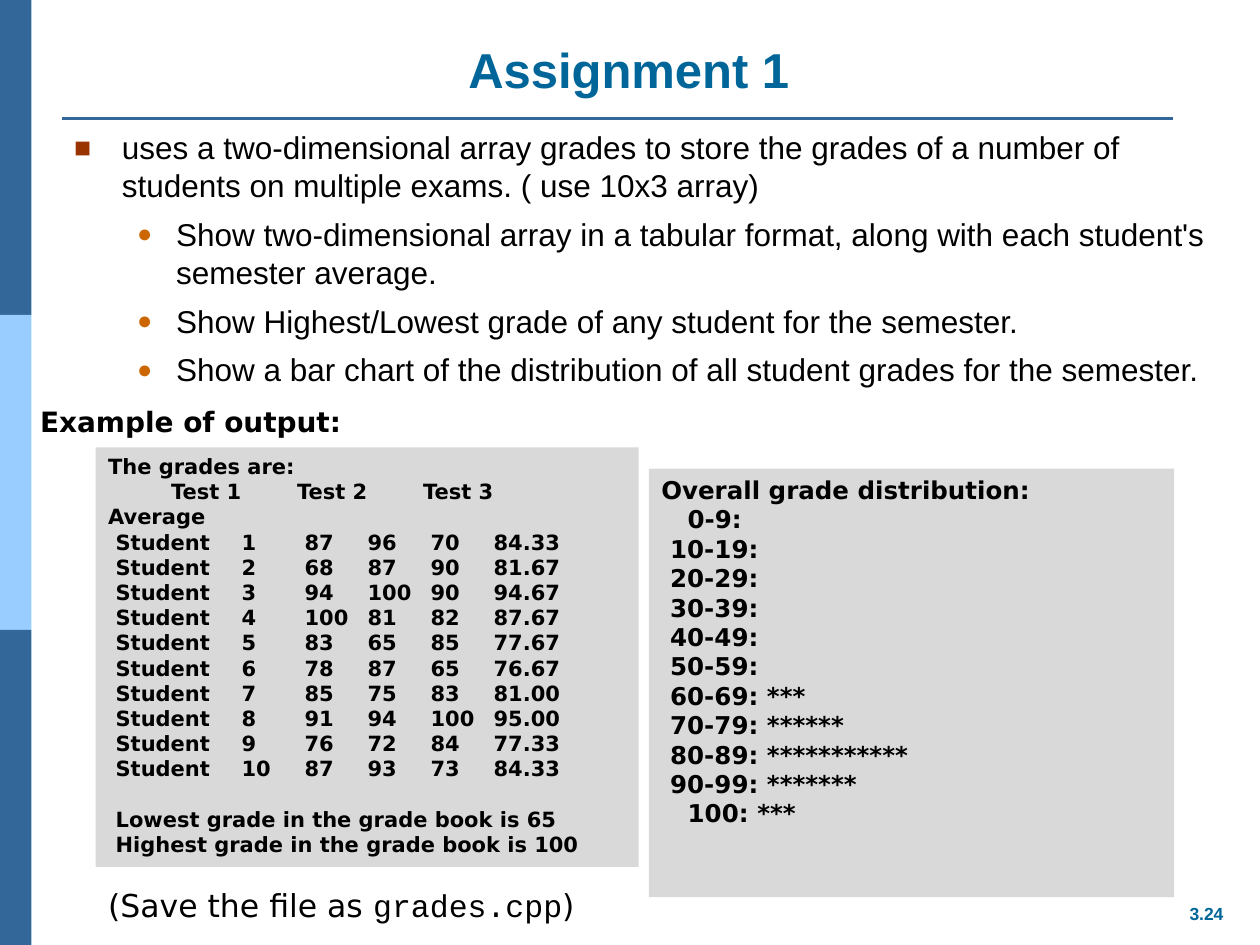
from collections import namedtuple

from lxml.etree import SubElement
from pptx import Presentation
from pptx.dml.color import RGBColor
from pptx.enum.shapes import MSO_CONNECTOR as CONNECTOR, MSO_SHAPE as SHAPE
from pptx.enum.text import MSO_ANCHOR as ANCHOR, MSO_AUTO_SIZE as AUTO, PP_ALIGN as ALIGN
from pptx.oxml.ns import qn
from pptx.util import Inches, Pt

COLUMNS, ROWS = 40, 30
CELL = Inches(0.25)
Box = namedtuple("Box", "left top width height")

NAVY, SKY, TEAL = "336699", "99CCFF", "006699"
BLACK, WHITE, GRAY = "000000", "FFFFFF", "D9D9D9"
SANS, OUTPUT, CODE = "Arial", "DejaVu Sans", "Courier New"

TASKS = [
    (0, "uses a two-dimensional array grades to store the grades of a number of "
        "students on multiple exams. ( use 10x3 array)"),
    (1, "Show two-dimensional array in a tabular format, along with each student's "
        "semester average."),
    (1, "Show Highest/Lowest grade of any student for the semester."),
    (1, "Show a bar chart of the distribution of all student grades for the semester."),
]
BULLETS = [("■", "993300", 90, 0.38, -0.38), ("●", "CC6600", 80, 0.81, -0.31)]
GRADES = [
    (87, 96, 70), (68, 87, 90), (94, 100, 90), (100, 81, 82), (83, 65, 85),
    (78, 87, 65), (85, 75, 83), (91, 94, 100), (76, 72, 84), (87, 93, 73),
]
STARS = [0, 0, 0, 0, 0, 0, 3, 6, 11, 7]
PERFECT = 3


def color(code):
    return RGBColor.from_string(code)


def emu(box):
    return [round(CELL * length) for length in box]


def style(font, size, face, code=BLACK, bold=False):
    font.size, font.name, font.bold = Pt(size), face, bold
    font.color.rgb = color(code)


def panel(slide, box, fill):
    block = slide.shapes.add_shape(SHAPE.RECTANGLE, *emu(box))
    block.shadow.inherit = False
    block.fill.solid()
    block.fill.fore_color.rgb = color(fill)
    block.line.fill.background()
    frame = block.text_frame
    frame.word_wrap = True
    frame.vertical_anchor = ANCHOR.TOP
    return frame


def label(slide, box):
    frame = slide.shapes.add_textbox(*emu(box)).text_frame
    frame.word_wrap = False
    return frame


def add_line(frame, text, size, face, indent=0, hanging=0, tabs=(), bullet=None,
             before=0, bold=False):
    first = frame.paragraphs[0]
    paragraph = frame.add_paragraph() if first.runs else first
    paragraph.text = text
    paragraph.alignment = ALIGN.LEFT
    properties = paragraph._p.get_or_add_pPr()
    properties.set("marL", str(Inches(indent)))
    properties.set("indent", str(Inches(hanging)))
    if bullet:
        mark, tint, share = bullet
        tone = SubElement(properties, qn("a:buClr"))
        SubElement(tone, qn("a:srgbClr"), val=tint)
        SubElement(properties, qn("a:buSzPct"), val=str(share * 1000))
        SubElement(properties, qn("a:buFont"), typeface=SANS)
        SubElement(properties, qn("a:buChar"), char=mark)
    if tabs:
        stops = SubElement(properties, qn("a:tabLst"))
        for position, side in tabs:
            SubElement(stops, qn("a:tab"), pos=str(Inches(position)), algn=side)
    paragraph.line_spacing = Pt(1.2 * size)
    if before:
        paragraph.space_before = Pt(before)
    style(paragraph.font, size, face, bold=bold)


def side_rail(slide, box):
    height = box.height / 3
    for step, fill in enumerate((NAVY, SKY, NAVY)):
        panel(slide, Box(box.left, box.top + step * height, box.width, height), fill)


def heading(slide, box):
    title = slide.shapes.title
    title.left, title.top, title.width, title.height = emu(box)
    frame = title.text_frame
    frame.text = "Assignment 1"
    frame.auto_size = AUTO.NONE
    frame.vertical_anchor = ANCHOR.BOTTOM
    paragraph = frame.paragraphs[0]
    paragraph.alignment = ALIGN.CENTER
    style(paragraph.font, 28, SANS, TEAL, True)
    left, right, level = emu((box.left, box.left + 0.98 * box.width, box.top + box.height + 0.44))
    rule = slide.shapes.add_connector(CONNECTOR.STRAIGHT, left, level, right, level)
    rule.line.color.rgb = color(NAVY)
    rule.line.width = Pt(1.5)
    SubElement(rule._element.spPr, qn("a:effectLst"))


def task_list(slide, box):
    frame = panel(slide, box, WHITE)
    for order, (level, text) in enumerate(TASKS):
        mark, tint, share, indent, hanging = BULLETS[level]
        add_line(frame, text, 18, SANS, indent, hanging,
                 bullet=(mark, tint, share), before=6.3 if order else 0)
        frame.paragraphs[-1].level = level


def grade_book(slide, box):
    frame = panel(slide, box, GRAY)
    header_tabs = [(1.16 + 0.73 * test, "l") for test in range(3)]
    row_tabs = [(0.97, "ctr"), *((1.61 + 0.64 * test, "ctr") for test in range(3)), (3.61, "ctr")]
    add_line(frame, "The grades are:", 12, OUTPUT, bold=True)
    add_line(frame, "\tTest 1\tTest 2\tTest 3\vAverage", 12, OUTPUT, tabs=header_tabs, bold=True)
    for number, scores in enumerate(GRADES, 1):
        cells = ["Student", number, *scores, f"{sum(scores) / len(scores):.2f}"]
        add_line(frame, "\t".join(map(str, cells)), 12, OUTPUT, 0.06, tabs=row_tabs, bold=True)
    scores = [score for row in GRADES for score in row]
    add_line(frame, f"Lowest grade in the grade book is {min(scores)}", 12, OUTPUT,
             0.06, before=14.4, bold=True)
    add_line(frame, f"Highest grade in the grade book is {max(scores)}", 12, OUTPUT,
             0.06, bold=True)


def distribution(slide, box):
    frame = panel(slide, box, GRAY)
    add_line(frame, "Overall grade distribution:", 14, OUTPUT, bold=True)
    bands = [(f"{10 * ten}-{10 * ten + 9}:", count) for ten, count in enumerate(STARS)]
    for band, count in bands + [("100:", PERFECT)]:
        indent = 0.07 if len(band) == 6 else 0.21
        add_line(frame, f"{band} {'*' * count}".strip(), 14, OUTPUT, indent, bold=True)


def example_caption(slide, box):
    add_line(label(slide, box), "Example of output:", 16, OUTPUT, bold=True)


def save_note(slide, box):
    paragraph = label(slide, box).paragraphs[0]
    for text, face in (("(Save the file as ", OUTPUT), ("grades.cpp", CODE), (")", OUTPUT)):
        part = paragraph.add_run()
        part.text = text
        style(part.font, 18, face)


def page_number(slide, box):
    paragraph = label(slide, box).paragraphs[0]
    paragraph.text = "3.24"
    paragraph.alignment = ALIGN.CENTER
    style(paragraph.font, 10, SANS, TEAL, True)


def main():
    deck = Presentation()
    deck.slide_width, deck.slide_height = CELL * COLUMNS, CELL * ROWS
    slide = deck.slides.add_slide(deck.slide_layouts[5])
    side_rail(slide, Box(0, 0, 1, ROWS))
    heading(slide, Box(1.96, 1.52, 36, 1.8))
    task_list(slide, Box(1.96, 3.88, 37.32, 9.4))
    grade_book(slide, Box(3.04, 14.2, 17.24, 13.32))
    distribution(slide, Box(20.6, 14.88, 16.68, 13.6))
    example_caption(slide, Box(0.88, 12.64, 10.44, 1.48))
    save_note(slide, Box(3.04, 27.92, 15.96, 1.6))
    page_number(slide, Box(37.32, 28.48, 1.96, 1.08))
    deck.save("out.pptx")


if __name__ == "__main__":
    main()
